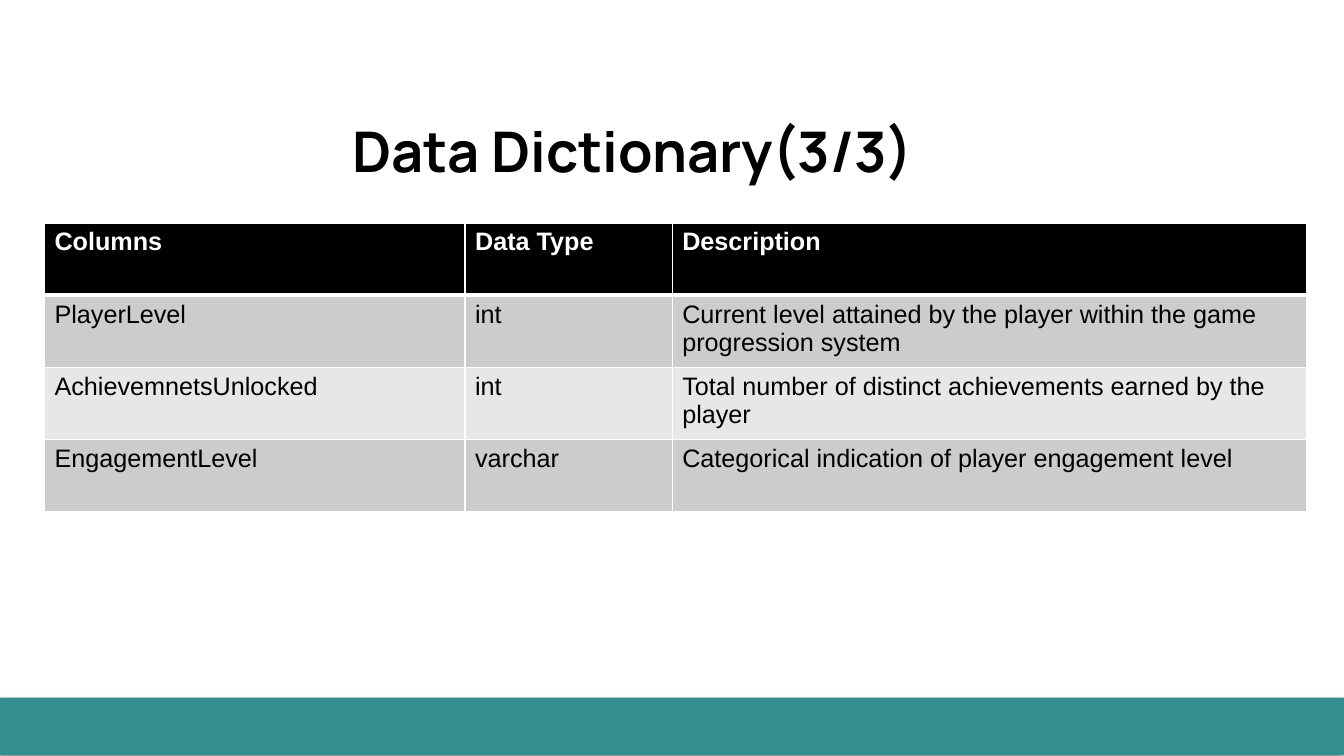
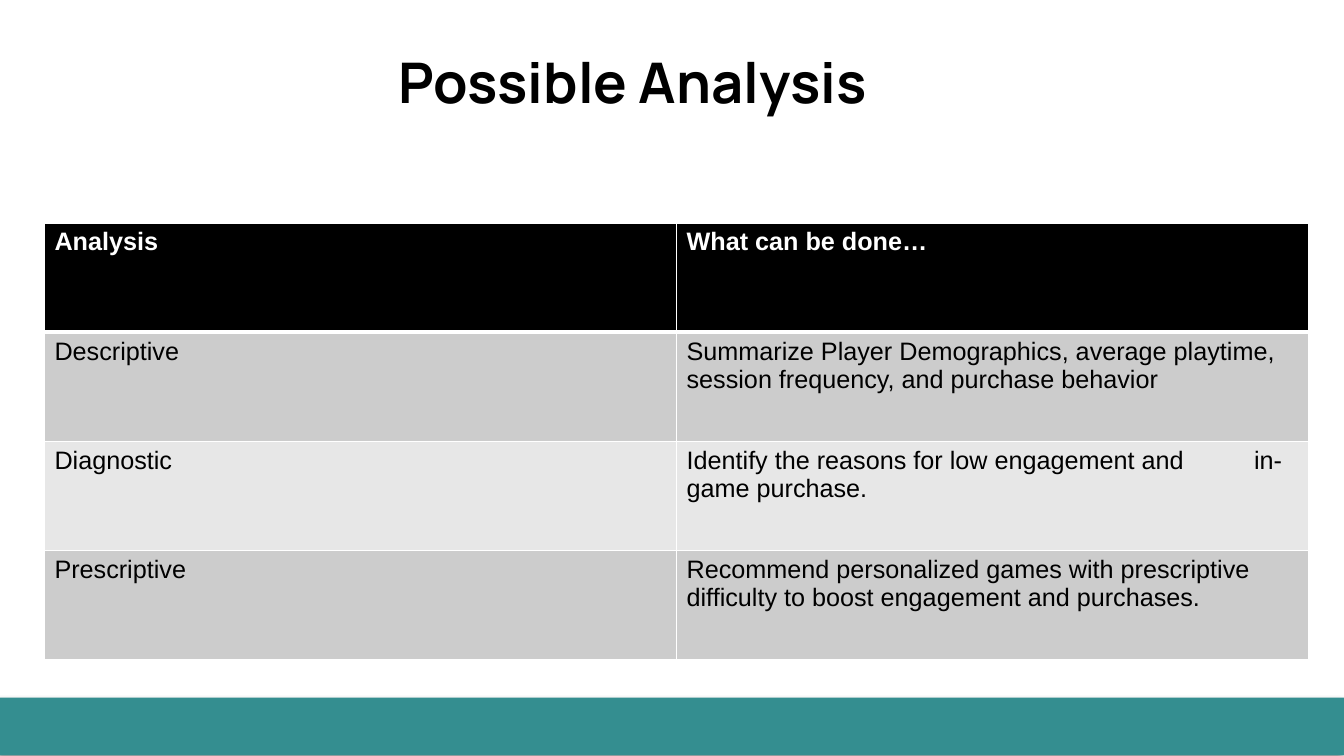
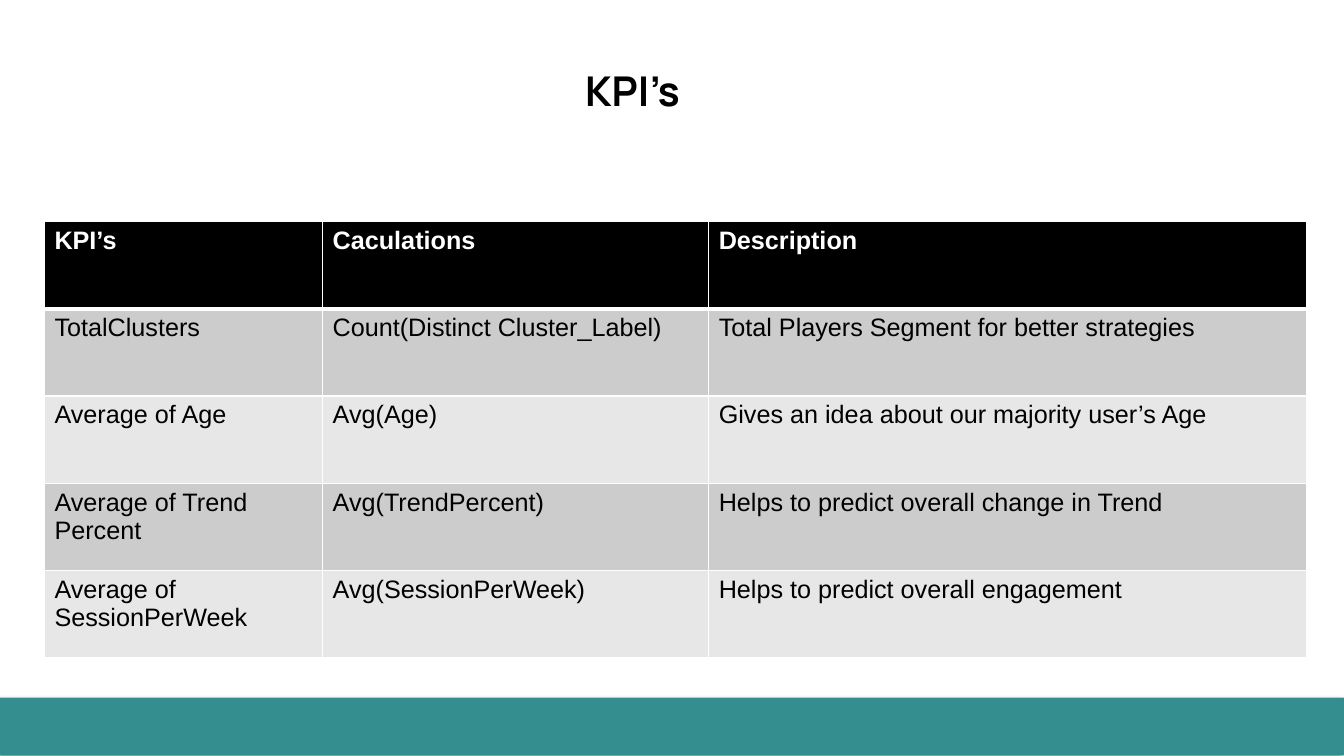
"""Build three table slides on game player data."""
from lxml import etree
from pptx import Presentation
from pptx.dml.color import RGBColor
from pptx.enum.shapes import MSO_SHAPE
from pptx.enum.text import MSO_ANCHOR, PP_ALIGN
from pptx.oxml.ns import qn
from pptx.util import Cm, Pt

RECT = MSO_SHAPE.RECTANGLE
BOTTOM = MSO_ANCHOR.BOTTOM
CENTER = PP_ALIGN.CENTER

COLORS = {
    "band": "348E90",
    "head": "000000",
    "odd": "CCCCCC",
    "even": "E7E7E7",
    "text": "000000",
    "white": "FFFFFF",
}
WIDTH, HEIGHT = 33.87, 19.05
LEFT = 1.12
TAB = 14.3


def color(name):
    return RGBColor.from_string(COLORS[name])


def style(para, face, size, tint, bold):
    font = para.font
    font.name = face
    font.size = Pt(size)
    font.bold = bold
    font.color.rgb = color(tint)


def tint_xml(parent, name):
    return etree.SubElement(parent, qn("a:srgbClr"), val=COLORS[name])


def add_band(slide):
    band = slide.shapes.add_shape(RECT, 0, Cm(17.58), Cm(WIDTH), Cm(1.45))
    band.fill.solid()
    band.fill.fore_color.rgb = color("band")
    band.line.fill.background()
    band.shadow.inherit = False
    effects = band._element.spPr.find(qn("a:effectLst"))
    shade = etree.SubElement(
        effects, qn("a:outerShdw"), blurRad=str(Pt(4)), dist=str(Pt(3)),
        dir="8100000", algn="tr", rotWithShape="0")
    etree.SubElement(tint_xml(shade, "text"), qn("a:alpha"), val="40000")


def add_title(slide, text, height, size):
    box = slide.shapes.add_textbox(Cm(LEFT), 0, Cm(29.64), Cm(height))
    frame = box.text_frame
    frame.word_wrap = True
    frame.vertical_anchor = BOTTOM
    frame.margin_left = frame.margin_right = Cm(0.25)
    frame.margin_top = frame.margin_bottom = Cm(0.25)
    para = frame.paragraphs[0]
    para.text = text
    para.alignment = CENTER
    style(para, "Manrope", size, "text", True)


def add_edges(cell, row):
    props = cell._tc.get_or_add_tcPr()
    widths = {"L": 1, "R": 1, "T": 3 if row == 1 else 1, "B": 1 if row else 3}
    for side, width in widths.items():
        line = etree.SubElement(props, qn(f"a:ln{side}"), w=str(Pt(width)))
        tint_xml(etree.SubElement(line, qn("a:solidFill")), "white")


def add_tab(para):
    tabs = etree.SubElement(para._p.get_or_add_pPr(), qn("a:tabLst"))
    etree.SubElement(tabs, qn("a:tab"), pos=str(Cm(TAB)), algn="l")


def fill_cell(cell, text, row):
    add_edges(cell, row)
    cell.fill.solid()
    shade = "head" if row == 0 else "odd" if row % 2 else "even"
    cell.fill.fore_color.rgb = color(shade)
    para = cell.text_frame.paragraphs[0]
    para.text = text
    if "\t" in text:
        add_tab(para)
    style(para, "Arial", 18, "text" if row else "white", row == 0)


def add_grid(slide, top, widths, height, rows):
    shape = slide.shapes.add_table(
        len(rows), len(widths), Cm(LEFT), Cm(top),
        Cm(sum(widths)), Cm(height * len(rows)))
    table = shape.table
    for column, width in zip(table.columns, widths):
        column.width = Cm(width)
    for index, texts in enumerate(rows):
        table.rows[index].height = Cm(height)
        for cell, text in zip(table.rows[index].cells, texts):
            fill_cell(cell, text, index)


def add_slide(deck, title, grid):
    slide = deck.slides.add_slide(deck.slide_layouts[6])
    add_band(slide)
    add_title(slide, *title)
    add_grid(slide, *grid)


def main():
    deck = Presentation()
    deck.slide_width = Cm(WIDTH)
    deck.slide_height = Cm(HEIGHT)
    add_slide(deck, ("Data Dictionary(3/3)", 4.88, 40), (
        5.62, (10.6, 5.22, 15.98), 1.82, [
            ("Columns", "Data Type", "Description"),
            ("PlayerLevel", "int",
             "Current level attained by the player within the game "
             "progression system"),
            ("AchievemnetsUnlocked", "int",
             "Total number of distinct achievements earned by the player"),
            ("EngagementLevel", "varchar",
             "Categorical indication of player engagement level"),
        ]))
    add_slide(deck, ("Possible Analysis", 3.15, 40), (
        5.62, (15.93, 15.93), 2.75, [
            ("Analysis", "What can be done…"),
            ("Descriptive",
             "Summarize Player Demographics, average playtime, "
             "session frequency, and purchase behavior"),
            ("Diagnostic",
             "Identify the reasons for low engagement and\t"
             "in- game purchase."),
            ("Prescriptive",
             "Recommend personalized games with prescriptive "
             "difficulty to boost engagement and purchases."),
        ]))
    add_slide(deck, ("KPI’s", 3.15, 29.3), (
        5.58, (7.01, 9.73, 15.06), 2.2, [
            ("KPI’s", "Caculations", "Description"),
            ("TotalClusters", "Count(Distinct Cluster_Label)",
             "Total Players Segment for better strategies"),
            ("Average of Age", "Avg(Age)",
             "Gives an idea about our majority user’s Age"),
            ("Average of Trend Percent", "Avg(TrendPercent)",
             "Helps to predict overall change in Trend"),
            ("Average of SessionPerWeek", "Avg(SessionPerWeek)",
             "Helps to predict overall engagement"),
        ]))
    deck.save("out.pptx")


if __name__ == "__main__":
    main()
